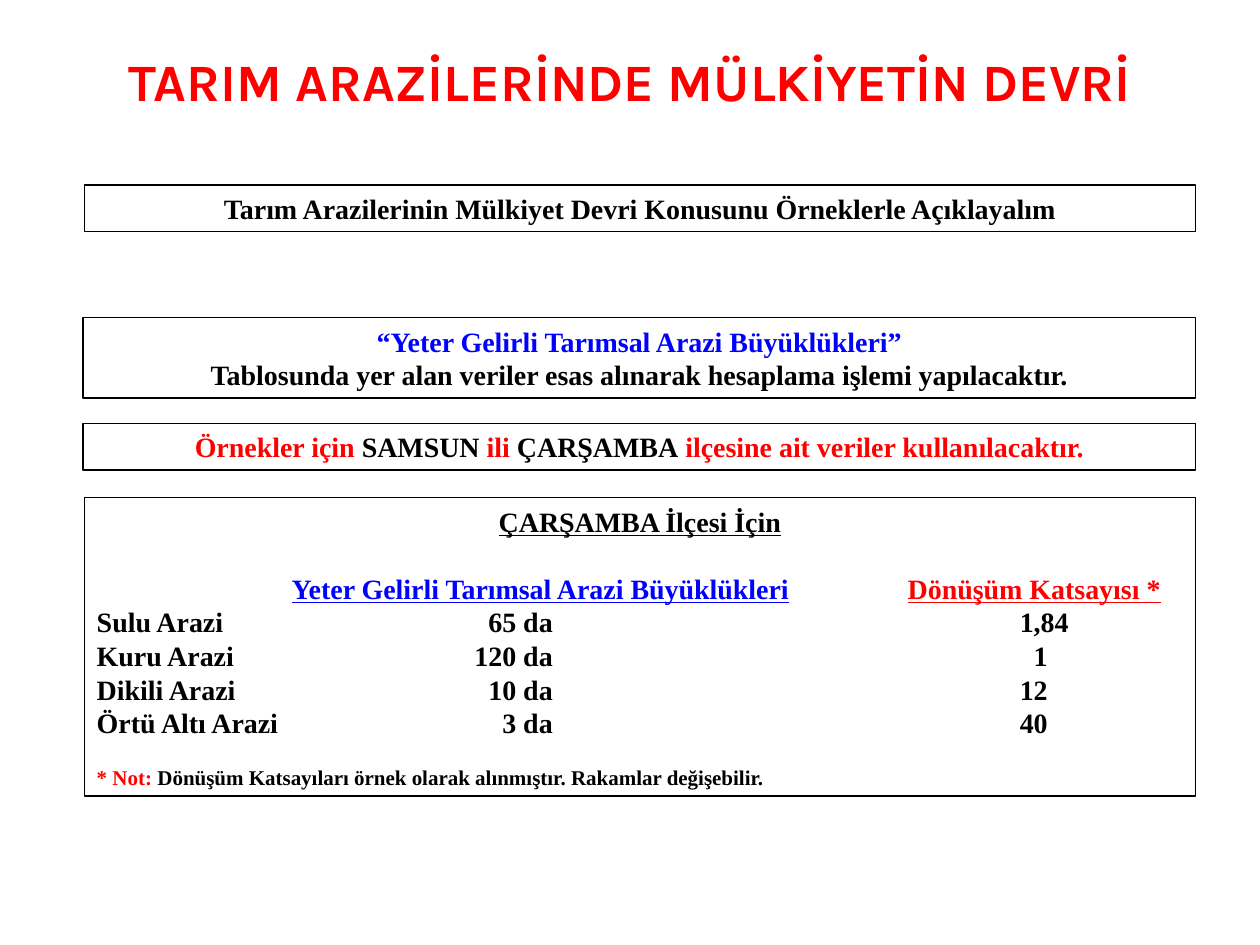
from pptx import Presentation
from pptx.dml.color import RGBColor
from pptx.enum.shapes import MSO_SHAPE
from pptx.enum.text import MSO_ANCHOR, MSO_AUTO_SIZE, PP_ALIGN
from pptx.oxml.ns import qn
from pptx.util import Pt
from lxml import etree

RECTANGLE = MSO_SHAPE.RECTANGLE
MIDDLE = MSO_ANCHOR.MIDDLE
FIT_SHAPE = MSO_AUTO_SIZE.SHAPE_TO_FIT_TEXT
CENTER, LEFT = PP_ALIGN.CENTER, PP_ALIGN.LEFT
RED, BLUE, BLACK = "FF0000", "0000FF", "000000"
BODY_FONT, TITLE_FONT = "Times New Roman", "Karla"

# Tab positions inside the district box
HEADING_TABS = [(111.4, "l"), (463.4, "l")]
AREA_TAB = (260.6, "r")
INTEGER_EDGE, DECIMAL_EDGE = 543.4, 555.4

LAND_ROWS = [
    ("Sulu Arazi", "65 da", "1,84"),
    ("Kuru Arazi", "120 da", "1"),
    ("Dikili Arazi", "10 da", "12"),
    ("Örtü Altı Arazi", "3 da", "40"),
]


def color(value):
    return RGBColor.from_string(value)


def add_tabs(paragraph, tabs):
    tab_list = etree.SubElement(paragraph._p.get_or_add_pPr(), qn("a:tabLst"))
    for position, alignment in tabs:
        etree.SubElement(tab_list, qn("a:tab"),
                         pos=str(int(Pt(position))), algn=alignment)


def add_run(paragraph, text, size=16, fill=BLACK, font=BODY_FONT, underline=False):
    run = paragraph.add_run()
    run.text = text
    run.font.name = font
    run.font.size = Pt(size)
    run.font.bold = True
    run.font.underline = underline
    run.font.color.rgb = color(fill)


def add_line(frame, first=False, align=CENTER, height=19.2, before=0, tabs=()):
    paragraph = frame.paragraphs[0] if first else frame.add_paragraph()
    paragraph.alignment = align
    paragraph.line_spacing = Pt(height)
    if before:
        paragraph.space_before = Pt(before)
    if tabs:
        add_tabs(paragraph, tabs)
    return paragraph


def add_title(slide, text):
    frame = slide.shapes.add_textbox(Pt(0), Pt(26), Pt(720), Pt(39.6)).text_frame
    frame.word_wrap = True
    frame.vertical_anchor = MIDDLE
    title = frame.paragraphs[0]
    title.alignment = CENTER
    add_run(title, text, size=30, fill=RED, font=TITLE_FONT)


def add_framed_box(slide, left, top, width, height):
    box = slide.shapes.add_shape(RECTANGLE, Pt(left), Pt(top), Pt(width), Pt(height))
    box.shadow.inherit = False
    box.fill.background()
    box.line.color.rgb = color(BLACK)
    box.line.width = Pt(0.75)
    frame = box.text_frame
    frame.word_wrap = True
    frame.auto_size = FIT_SHAPE
    frame.vertical_anchor = MIDDLE
    return frame


def add_district_data(frame):
    add_run(add_line(frame, first=True), "ÇARŞAMBA İlçesi İçin", underline=True)

    # Column headings
    headings = add_line(frame, align=LEFT, before=19.2, tabs=HEADING_TABS)
    for text, fill in (("Yeter Gelirli Tarımsal Arazi Büyüklükleri", BLUE),
                       ("Dönüşüm Katsayısı *", RED)):
        add_run(headings, "\t")
        add_run(headings, text, fill=fill, underline=True)

    # Land types
    for land, area, factor in LAND_ROWS:
        edge = DECIMAL_EDGE if "," in factor else INTEGER_EDGE
        row = add_line(frame, align=LEFT, tabs=[AREA_TAB, (edge, "r")])
        add_run(row, f"{land}\t{area}\t{factor}")

    # Footnote
    note = add_line(frame, align=LEFT, height=14.4, before=14.4)
    add_run(note, "* Not: ", size=12, fill=RED)
    add_run(note, "Dönüşüm Katsayıları örnek olarak alınmıştır. "
                  "Rakamlar değişebilir.", size=12)


def main():
    deck = Presentation()
    deck.slide_width, deck.slide_height = Pt(720), Pt(540)
    slide = deck.slides.add_slide(deck.slide_layouts[6])

    add_title(slide, "TARIM ARAZİLERİNDE MÜLKİYETİN DEVRİ")

    # Introduction
    intro = add_framed_box(slide, 48.2, 105.8, 635, 26.7)
    add_run(add_line(intro, first=True),
            "Tarım Arazilerinin Mülkiyet Devri Konusunu Örneklerle Açıklayalım")

    # Basis of the calculation
    basis = add_framed_box(slide, 47.5, 181.4, 635.8, 46)
    add_run(add_line(basis, first=True),
            "“Yeter Gelirli Tarımsal Arazi Büyüklükleri”", fill=BLUE)
    add_run(add_line(basis), "Tablosunda yer alan veriler esas alınarak "
                             "hesaplama işlemi yapılacaktır.")

    # Figures of the district
    add_district_data(add_framed_box(slide, 48.2, 284.4, 635, 170.6))

    # Place used in the examples
    place = add_line(add_framed_box(slide, 47.5, 241.9, 635.8, 26.7), first=True)
    for text, fill in (("Örnekler için ", RED), ("SAMSUN", BLACK), (" ili ", RED),
                       ("ÇARŞAMBA", BLACK),
                       (" ilçesine ait veriler kullanılacaktır.", RED)):
        add_run(place, text, fill=fill)

    deck.save("out.pptx")


if __name__ == "__main__":
    main()
